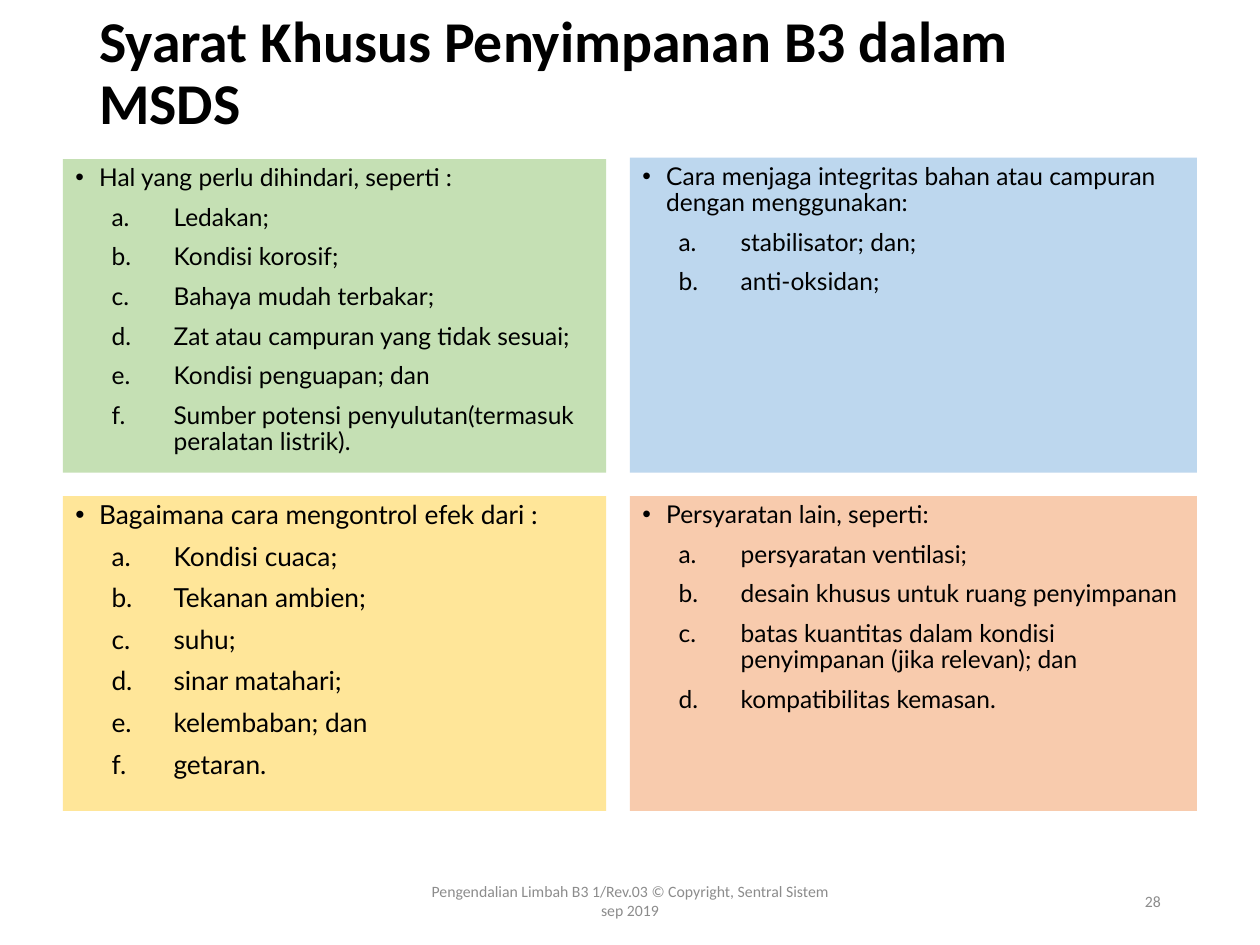
from dataclasses import dataclass

from lxml import etree
from pptx import Presentation
from pptx.dml.color import RGBColor
from pptx.enum.shapes import MSO_SHAPE
from pptx.enum.text import MSO_ANCHOR, PP_ALIGN
from pptx.oxml.ns import qn
from pptx.slide import Slide
from pptx.text.text import _Paragraph as Para
from pptx.util import Cm, Pt

RECT = MSO_SHAPE.RECTANGLE
TOP, MID = MSO_ANCHOR.TOP, MSO_ANCHOR.MIDDLE
LEFT, CENTER, RIGHT = PP_ALIGN.LEFT, PP_ALIGN.CENTER, PP_ALIGN.RIGHT


@dataclass(frozen=True)
class Theme:
    head: str = "Calibri"
    body: str = "Lato"
    ink: str = "000000"
    gray: str = "8C8C8C"
    green: str = "C5E0B4"
    blue: str = "BDD7EE"
    gold: str = "FFE699"
    peach: str = "F8CBAD"
    title: float = 33
    large: float = 15
    text: float = 14
    small: float = 9
    lines: float = 0.9
    gap: float = 7.5


@dataclass(frozen=True)
class Box:
    """Left, top, width and height in centimetres."""
    x: float
    y: float
    w: float
    h: float

    def place(self) -> tuple[Cm, Cm, Cm, Cm]:
        return Cm(self.x), Cm(self.y), Cm(self.w), Cm(self.h)


@dataclass(frozen=True)
class Panel:
    box: Box
    fill: str
    size: float
    lead: str
    items: list[str]


@dataclass(frozen=True)
class Label:
    box: Box
    text: str
    size: float
    color: str
    align: PP_ALIGN
    bold: bool = False
    lines: float = 1.0


THEME = Theme()

# Two columns and two rows of panels
COL1, COL2, WIDE1, WIDE2 = 1.27, 12.7, 10.95, 11.43
ROW1, ROW2, HIGH = 3.18, 10.0, 6.35

PANELS = [
    Panel(Box(COL1, ROW1 + 0.03, WIDE1, HIGH - 0.03), THEME.green, THEME.text,
          "Hal yang perlu dihindari, seperti :",
          ["Ledakan;", "Kondisi korosif;", "Bahaya mudah terbakar;",
           "Zat atau campuran yang tidak sesuai;", "Kondisi penguapan; dan",
           "Sumber potensi penyulutan(termasuk peralatan listrik)."]),
    Panel(Box(COL1, ROW2, WIDE1, HIGH), THEME.gold, THEME.large,
          "Bagaimana cara mengontrol efek dari :",
          ["Kondisi cuaca;", "Tekanan ambien;", "suhu;", "sinar matahari;",
           "kelembaban; dan", "getaran."]),
    Panel(Box(COL2, ROW1, WIDE2, HIGH), THEME.blue, THEME.text,
          "Cara menjaga integritas bahan atau campuran dengan menggunakan:",
          ["stabilisator; dan;", "anti-oksidan;"]),
    Panel(Box(COL2, ROW2, WIDE2, HIGH), THEME.peach, THEME.text,
          "Persyaratan lain, seperti:",
          ["persyaratan ventilasi;", "desain khusus untuk ruang penyimpanan",
           "batas kuantitas dalam kondisi penyimpanan (jika relevan); dan",
           "kompatibilitas kemasan."]),
]

LABELS = [
    Label(Box(1.75, 0.53, 21.9, 1.96),
          "Syarat Khusus Penyimpanan B3 dalam MSDS",
          THEME.title, THEME.ink, LEFT, True, THEME.lines),
    Label(Box(8.41, 17.65, 8.58, 1.02),
          "Pengendalian Limbah B3 1/Rev.03 © Copyright, Sentral Sistem sep 2019",
          THEME.small, THEME.gray, CENTER),
    Label(Box(17.93, 17.65, 5.72, 1.02), "28",
          THEME.small, THEME.gray, RIGHT),
]


def style(para: Para, face: str, size: float, color: str,
          bold: bool = False) -> None:
    font = para.font
    font.name, font.size, font.bold = face, Pt(size), bold
    font.color.rgb = RGBColor.from_string(color)


def bullet(para: Para, left: float, hang: float, tag: str, **attrs: str) -> None:
    """Indent a paragraph and give it a bullet or a number."""
    props = para._p.get_or_add_pPr()
    props.set("marL", str(Cm(left)))
    props.set("indent", str(-Cm(hang)))
    etree.SubElement(props, qn("a:buFont"), typeface="Arial" if tag == "a:buChar" else "+mj-lt")
    etree.SubElement(props, qn(tag), **attrs)


def draw_panel(slide: Slide, panel: Panel) -> None:
    shape = slide.shapes.add_shape(RECT, *panel.box.place())
    shape.shadow.inherit = False
    shape.fill.solid()
    shape.fill.fore_color.rgb = RGBColor.from_string(panel.fill)
    shape.line.fill.background()
    frame = shape.text_frame
    frame.word_wrap = True
    frame.vertical_anchor = TOP
    for i, text in enumerate([panel.lead, *panel.items]):
        para = frame.add_paragraph() if i else frame.paragraphs[0]
        para.text = text
        if i:
            bullet(para, 1.98, 1.25, "a:buAutoNum", type="alphaLcPeriod")
            para.space_before = Pt(THEME.gap)
        else:
            bullet(para, 0.48, 0.48, "a:buChar", char="•")
        para.alignment = LEFT
        para.line_spacing = THEME.lines
        style(para, THEME.body, panel.size, THEME.ink)


def draw_label(slide: Slide, label: Label) -> None:
    frame = slide.shapes.add_textbox(*label.box.place()).text_frame
    frame.word_wrap = True
    frame.vertical_anchor = MID
    para = frame.paragraphs[0]
    para.text = label.text
    para.alignment = label.align
    para.line_spacing = label.lines
    style(para, THEME.head, label.size, label.color, label.bold)


def main() -> None:
    deck = Presentation()
    deck.slide_width, deck.slide_height = Cm(25.4), Cm(19.05)
    slide = deck.slides.add_slide(deck.slide_layouts[6])

    # Coloured panels
    for panel in PANELS:
        draw_panel(slide, panel)

    # Title, footer and page number
    for label in LABELS:
        draw_label(slide, label)

    deck.save("out.pptx")


if __name__ == "__main__":
    main()
